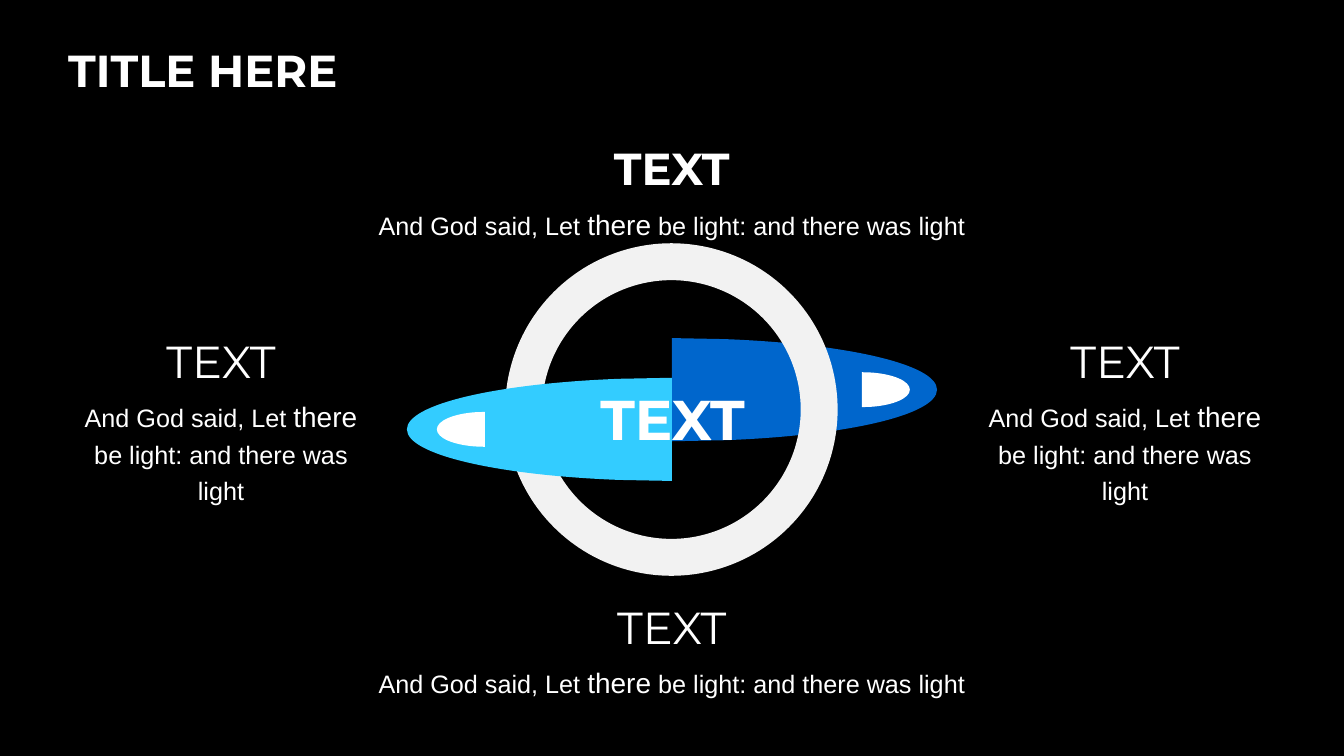
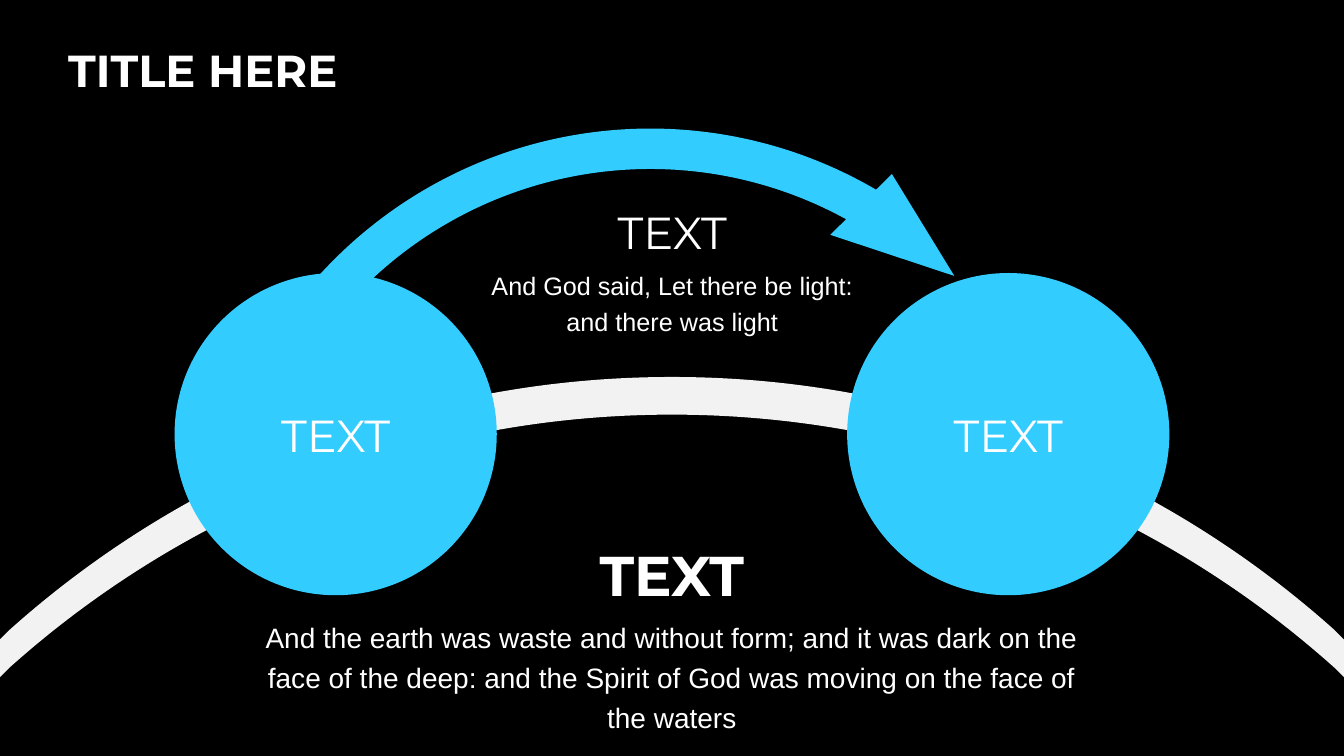
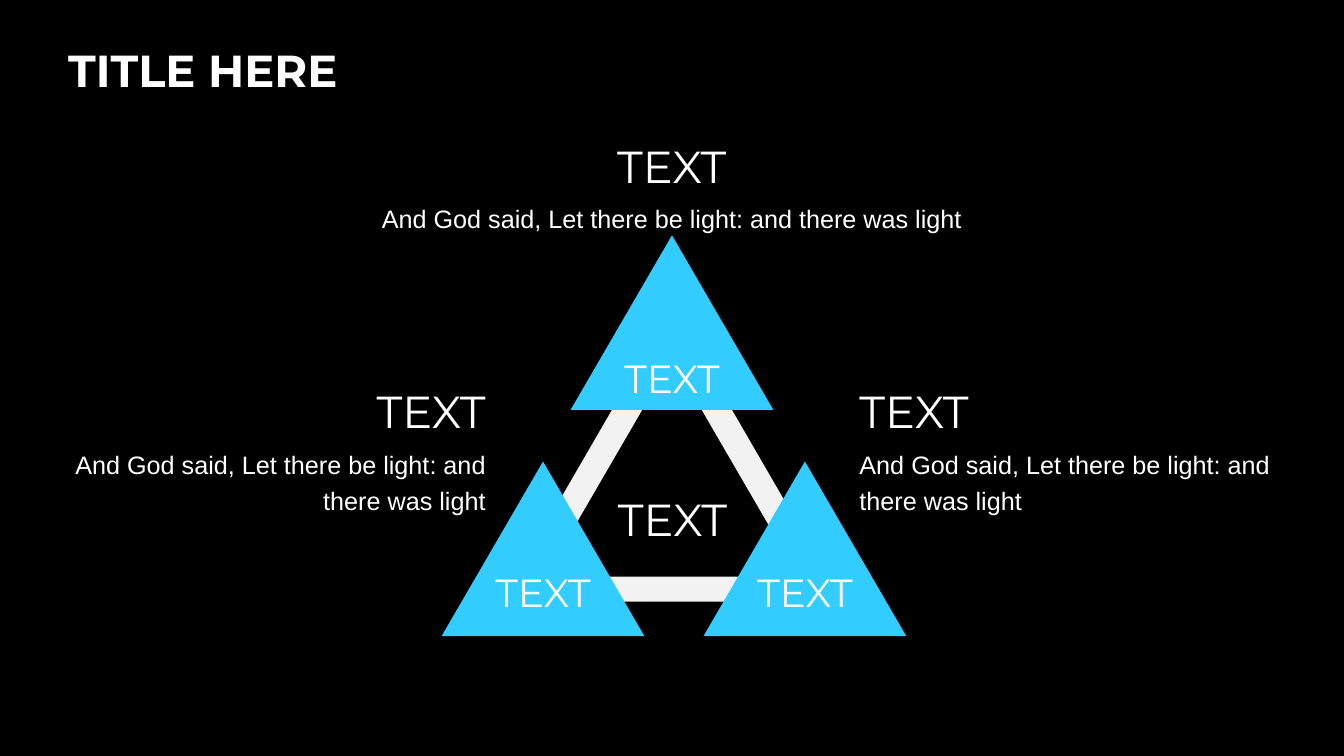
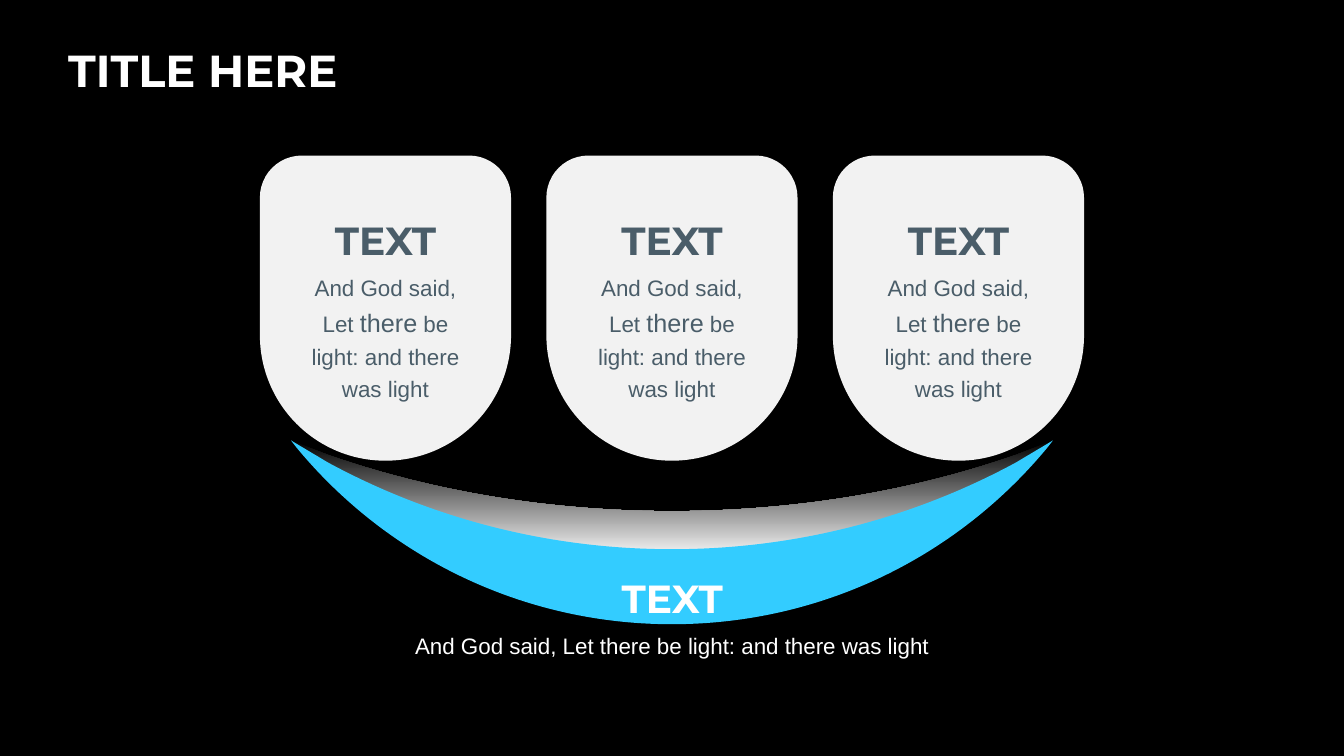
"""Four black diagram slides: blades in a ring, linked circles, triangles and cards."""
from lxml import etree
from pptx import Presentation
from pptx.dml.color import RGBColor
from pptx.enum.shapes import MSO_SHAPE
from pptx.enum.text import MSO_ANCHOR, PP_ALIGN
from pptx.oxml.ns import qn
from pptx.util import Cm, Pt

DONUT, OVAL, ARROW = MSO_SHAPE.DONUT, MSO_SHAPE.OVAL, MSO_SHAPE.CIRCULAR_ARROW
TRIANGLE, CARD = MSO_SHAPE.ISOSCELES_TRIANGLE, MSO_SHAPE.ROUND_2_SAME_RECTANGLE
PANEL = MSO_SHAPE.ROUNDED_RECTANGLE
LEFT, CENTER, RIGHT = PP_ALIGN.LEFT, PP_ALIGN.CENTER, PP_ALIGN.RIGHT
TOP, MIDDLE = MSO_ANCHOR.TOP, MSO_ANCHOR.MIDDLE

COLORS = {"black": "000000", "white": "FFFFFF", "pale": "F2F2F2",
          "sky": "33CCFF", "blue": "0066CC", "slate": "4A5D69"}
HEAD_FONT, BODY_FONT = "Montserrat", "Arial"
WIDTH, HEIGHT = 33.87, 19.05
MID = WIDTH / 2

TITLE = "TITLE HERE"
TITLE_BOX = (1.47, 0.74, 30.94, 2.01)
LABEL = "TEXT"
VERSE = [("And God said, Let there be light: and there was light", 0)]
ACCENTED = [("And God said, Let ", 0), ("there", 2), (" be light: and there was light", 0)]
EARTH = [("And the earth was waste and without form; and it was dark on the face of "
          "the deep: and the Spirit of God was moving on the face of the waters", 0)]

BLADES = [(1, 9.82, "blue", 21.72), (-1, 10.82, "sky", 12.22)]
RING_NOTES = [
    ((14.6, 9.22, 4.7, 2.16), dict(size=40, bold=True)),
    ((9.17, 3.16, 15.52, 3.07), dict(body=ACCENTED, bold=True)),
    ((9.17, 14.71, 15.52, 3.07), dict(body=ACCENTED)),
    ((1.47, 8.01, 8.2, 4.9), dict(body=ACCENTED)),
    ((24.25, 8.01, 8.2, 4.9), dict(body=ACCENTED)),
]
EARTH_BOX = (6.44, 13.16, 20.98, 6.71)
ARC_NOTE = ((11.95, 4.77, 9.98, 3.89), dict(body=VERSE))
ARC_TIPS = [(17.04, 6.72), (16.7, 6.38)]
ARC_CURVE = [(12.27, 2.41), (6.4, 0), (0, 0)]
TRIANGLES = [(14.38, 5.93, 8.56), (11.13, 11.63, 13.97), (17.73, 11.63, 13.97)]
TRIANGLE_NOTES = [
    ((15.02, 11.99, 3.86, 1.9), dict()),
    ((1.47, 9.27, 11.02, 3.89), dict(body=VERSE, align=RIGHT)),
    ((21.41, 9.27, 11, 3.89), dict(body=VERSE, align=LEFT)),
    ((8.99, 3.09, 15.88, 2.97), dict(body=VERSE)),
]
SMILE_NOTE = ((9.32, 14.1, 15.24, 2.67), dict(body=VERSE, size=28, body_size=16, bold=True))
CRESCENT_TIP = (9.6, 0)
CRESCENT_OUTER = [(9.46, 0.18), (7.21, 2.9), (3.81, 4.63), (0, 4.63)]
CRESCENT_INNER = [(8.66, 0.56), (6.07, 1.96), (3.12, 2.74), (0, 2.74)]


def rgb(name):
    return RGBColor.from_string(COLORS[name])


def paint(sp, color):
    sp.shadow.inherit = False
    sp.fill.solid()
    sp.fill.fore_color.rgb = rgb(color)
    sp.line.fill.background()
    return sp


def add_preset(s, kind, box, color, adjust=()):
    sp = paint(s.shapes.add_shape(kind, *map(Cm, box)), color)
    for i, value in enumerate(adjust):
        sp.adjustments[i] = value
    return sp


def add_outline(s, contours, color):
    """Draw contours whose steps hold one point for a line or three for a curve."""
    builder = None
    for (start,), *steps in contours:
        x, y = map(Cm, start)
        if builder is None:
            builder = s.shapes.build_freeform(x, y)
        else:
            builder.move_to(x, y)
        builder.add_line_segments([tuple(map(Cm, q)) for step in steps for q in step], close=True)
    sp = paint(builder.convert_to_shape(), color)
    lines = iter(list(sp.element.iter(qn("a:lnTo"))))
    for step in (step for _, *steps in contours for step in steps):
        first, *rest = [next(lines) for _ in step]
        if rest:
            curve = etree.Element(qn("a:cubicBezTo"))
            first.addprevious(curve)
            for line in (first, *rest):
                curve.append(line[0])
                line.getparent().remove(line)
    return sp


def style_run(r, size, font, color, bold):
    r.font.size, r.font.name, r.font.bold = Pt(size), font, bold
    r.font.color.rgb = rgb(color)


def write(sp, heading=LABEL, body=(), size=32, body_size=18, color="white",
          bold=False, align=CENTER, spacing=1.2, anchor=TOP):
    tf = sp.text_frame
    tf.word_wrap, tf.vertical_anchor = True, anchor
    p = tf.paragraphs[0]
    p.text = heading
    style_run(p.runs[0], size, HEAD_FONT, color, bold)
    if body:
        p = tf.add_paragraph()
        p.space_before = Pt(2)
        for text, extra in body:
            r = p.add_run()
            r.text = text
            style_run(r, body_size + extra, BODY_FONT, color, False)
    for p in tf.paragraphs:
        p.alignment, p.line_spacing, p.space_after = align, spacing, Pt(2)


def add_note(s, box, options):
    write(s.shapes.add_textbox(*map(Cm, box)), **options)


def add_slide(prs):
    s = prs.slides.add_slide(prs.slide_layouts[6])
    s.background.fill.solid()
    s.background.fill.fore_color.rgb = rgb("black")
    add_note(s, TITLE_BOX, dict(heading=TITLE, bold=True, align=LEFT, spacing=1.0, anchor=MIDDLE))
    return s


def place(steps, x, y, sx=1, sy=1):
    return [[(x + sx * px, y + sy * py) for px, py in step] for step in steps]


def blade(x, y, rx, ry):
    steps = [[(0, -1)], [(0, 1)], [(0.2, 0.98)], [(0.66, 0.89), (1, 0.49), (1, 0)],
             [(1, -0.49), (0.66, -0.89), (0.2, -0.98)]]
    return place(steps, x, y, rx, ry)


def mirror(points):
    return [(-x, y) for x, y in points]


def crescent(scale):
    outer, inner = CRESCENT_OUTER, CRESCENT_INNER
    steps = [[CRESCENT_TIP], outer[:1], outer[1:], mirror(outer[2::-1]),
             mirror([CRESCENT_TIP]), mirror(inner[:1]), mirror(inner[1:]), inner[2::-1]]
    return place(steps, MID, 11.1, 1, scale)


def arc_band(top, thickness):
    tip, shoulder = ARC_TIPS
    back = [shoulder] + ARC_CURVE[:2]
    upper = [[(0, 0)], back[::-1], [tip]]
    lower = [[tip], [shoulder], ARC_CURVE, mirror(back[::-1]), mirror([tip])]
    closing = [mirror([tip]), mirror([shoulder]), mirror(ARC_CURVE)]
    return (place(upper, MID, top) + place(lower, MID, top + thickness)
            + place(closing, MID, top))


def triangle_steps(apex, base, half):
    return [[(MID, apex)], [(MID + half, base)], [(MID - half, base)]]


def ring_slide(prs):
    s = add_slide(prs)
    for side, y, color, _ in BLADES:
        add_outline(s, [blade(MID, y, side * 6.68, 1.3)], color)
        if side == 1:
            add_preset(s, DONUT, (12.73, 6.13, 8.38, 8.38), "pale", [0.111])
    for note in RING_NOTES:
        add_note(s, *note)
    for side, y, _, flat in BLADES:
        add_outline(s, [blade(flat, y, side * 1.21, 0.44)], "white")


def circles_slide(prs):
    s = add_slide(prs)
    add_preset(s, ARROW, (4.54, 2.66, 23.7, 23.7), "sky", [0.043, 9.49, 179.75, 129.54, 0.046])
    add_outline(s, [arc_band(9.5, 0.95)], "pale")
    for x in (4.4, 21.35):
        write(add_preset(s, OVAL, (x, 6.88, 8.12, 8.12), "sky"), spacing=1.0, anchor=MIDDLE)
    panel = add_preset(s, PANEL, EARTH_BOX, "black", [0])
    panel.fill.background()
    write(panel, body=EARTH, size=40, body_size=20, bold=True)
    add_note(s, *ARC_NOTE)


def triangles_slide(prs):
    s = add_slide(prs)
    hole = triangle_steps(9.04, 14.53, 3.19)[::-1]
    add_outline(s, [triangle_steps(7.72, 15.16, 4.31), hole], "pale")
    w, h, label_w = 5.11, 4.4, 3.45
    for x, y, _ in TRIANGLES:
        add_preset(s, TRIANGLE, (x, y, w, h), "sky")
    for x, _, label_top in TRIANGLES:
        add_note(s, (x + (w - label_w) / 2, label_top, label_w, 1.6), dict(size=28))
    for note in TRIANGLE_NOTES:
        add_note(s, *note)


def cards_slide(prs):
    s = add_slide(prs)
    for i in range(3):
        sp = add_preset(s, CARD, (6.55 + i * 7.22, 3.92, 6.33, 7.69), "pale", [0.167, 0.5])
        sp.text_frame.margin_top = Cm(0.99)
        write(sp, body=ACCENTED, size=28, body_size=16, color="slate", bold=True)
    shade = add_outline(s, [crescent(0.65)], "black")
    shade.fill.gradient()
    shade.fill.gradient_angle = 270
    for stop, color in zip(shade.fill.gradient_stops, ("black", "white")):
        stop.color.rgb = rgb(color)
    add_outline(s, [crescent(1)], "sky")
    add_note(s, *SMILE_NOTE)


def main():
    prs = Presentation()
    prs.slide_width, prs.slide_height = Cm(WIDTH), Cm(HEIGHT)
    for build in (ring_slide, circles_slide, triangles_slide, cards_slide):
        build(prs)
    prs.save("out.pptx")


if __name__ == "__main__":
    main()
